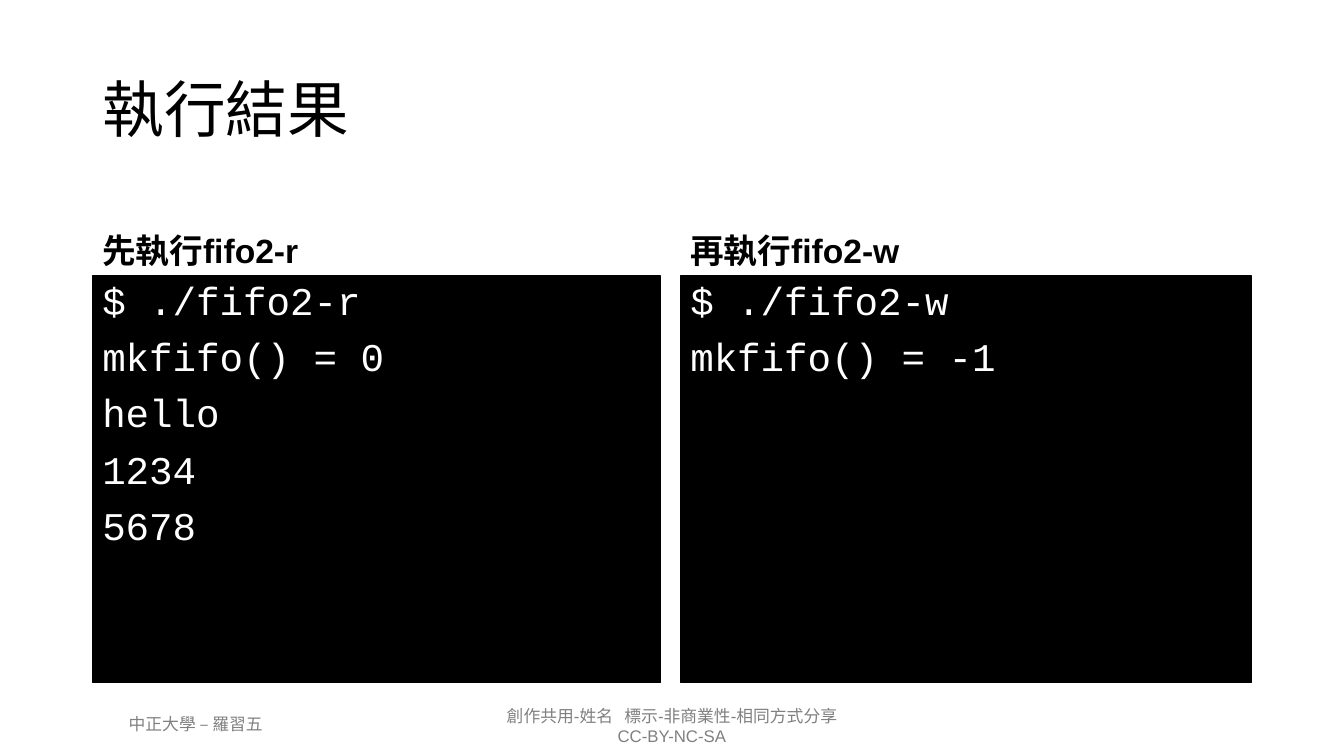
"""Build the slide comparing the output of the fifo2 reader and writer."""
from pptx import Presentation
from pptx.dml.color import RGBColor
from pptx.enum.shapes import MSO_SHAPE
from pptx.enum.text import MSO_ANCHOR, MSO_AUTO_SIZE, PP_ALIGN
from pptx.util import Emu, Pt

PX = 9525
BLACK = RGBColor(0x00, 0x00, 0x00)
WHITE = RGBColor(0xFF, 0xFF, 0xFF)
GRAY = RGBColor(0x80, 0x80, 0x80)


def box(*lengths):
    return [Emu(n * PX) for n in lengths]


def write(sp, text, size, color, font="Arial", bold=False, align=PP_ALIGN.LEFT,
          anchor=MSO_ANCHOR.TOP, spacing=1.0, before=0):
    tf = sp.text_frame
    tf.text = text
    tf.word_wrap = True
    tf.auto_size = MSO_AUTO_SIZE.NONE
    tf.vertical_anchor = anchor
    for p in tf.paragraphs:
        p.alignment = align
        p.line_spacing = spacing
        p.space_before = Pt(before)
        for r in p.runs:
            r.font.name = font
            r.font.size = Pt(size)
            r.font.bold = bold
            r.font.color.rgb = color


prs = Presentation()
prs.slide_width, prs.slide_height = box(1280, 720)
s = prs.slides.add_slide(prs.slide_layouts[5])

footers = [
    (404, 667, 472, 48, "創作共用-姓名   標示-非商業性-相同方式分享\nCC-BY-NC-SA"),
    (66, 675, 241, 29, "中正大學 – 羅習五"),
]
for x, y, w, h, text in footers:
    sp = s.shapes.add_textbox(*box(x, y, w, h))
    write(sp, text, 12, GRAY, align=PP_ALIGN.CENTER)

title = s.shapes.title
title.left, title.top, title.width, title.height = box(88, 38, 1104, 139)
write(title, "執行結果", 44, BLACK, anchor=MSO_ANCHOR.MIDDLE, spacing=0.9)

columns = [
    (88, 541, "先執行fifo2-r", "$ ./fifo2-r\nmkfifo() = 0\nhello\n1234\n5678"),
    (648, 544, "再執行fifo2-w", "$ ./fifo2-w\nmkfifo() = -1"),
]
for x, w, heading, output in columns:
    sp = s.shapes.add_textbox(*box(x, 177, w, 86))
    write(sp, heading, 24, BLACK, bold=True, anchor=MSO_ANCHOR.BOTTOM,
          spacing=0.9, before=10)

    terminal = s.shapes.add_shape(MSO_SHAPE.RECTANGLE, *box(x, 263, w, 387))
    terminal.shadow.inherit = False
    terminal.fill.solid()
    terminal.fill.fore_color.rgb = BLACK
    terminal.line.color.rgb = BLACK
    terminal.line.width = Pt(1)
    write(terminal, output, 28, WHITE, font="Courier New", spacing=0.9, before=10)

prs.save("out.pptx")
